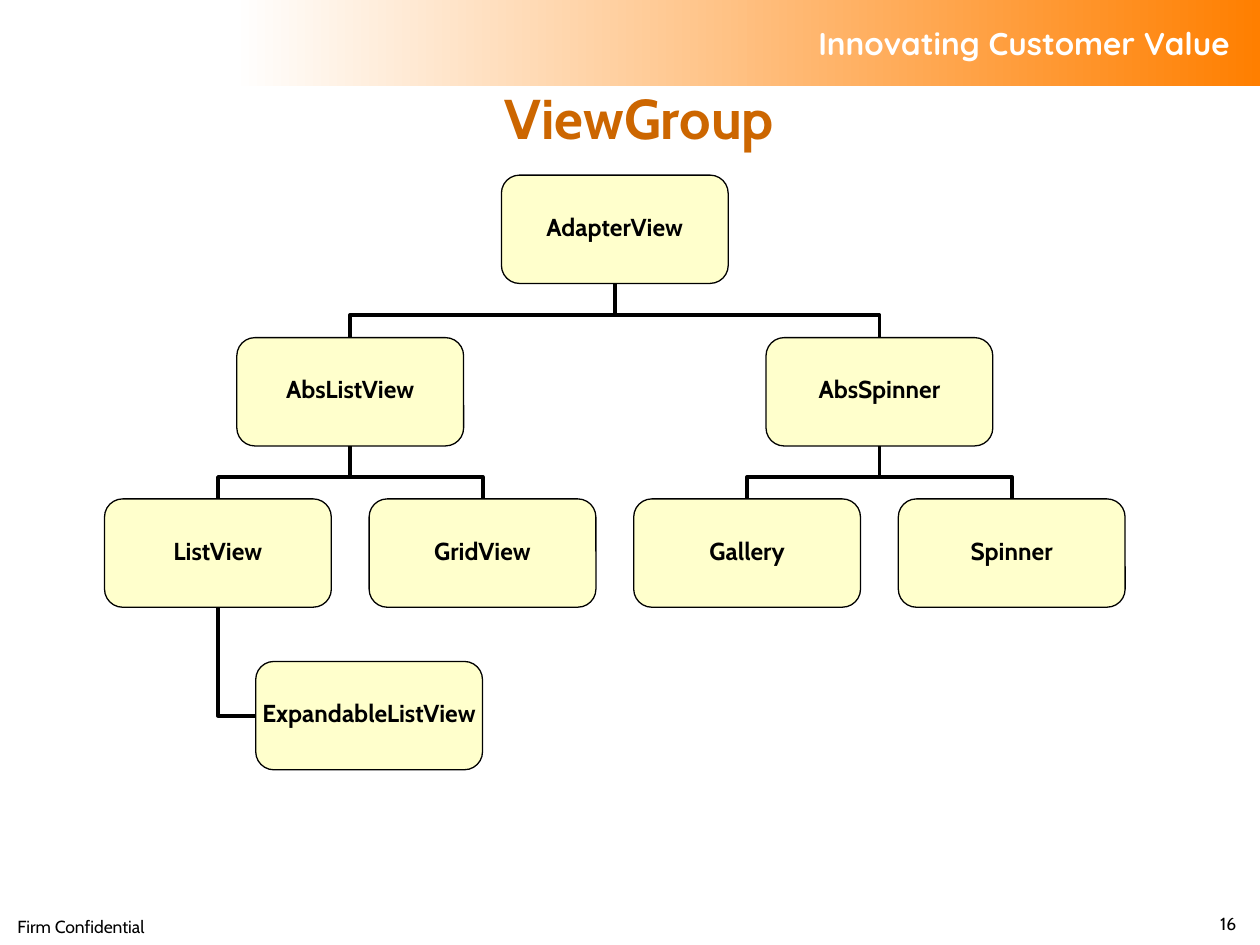
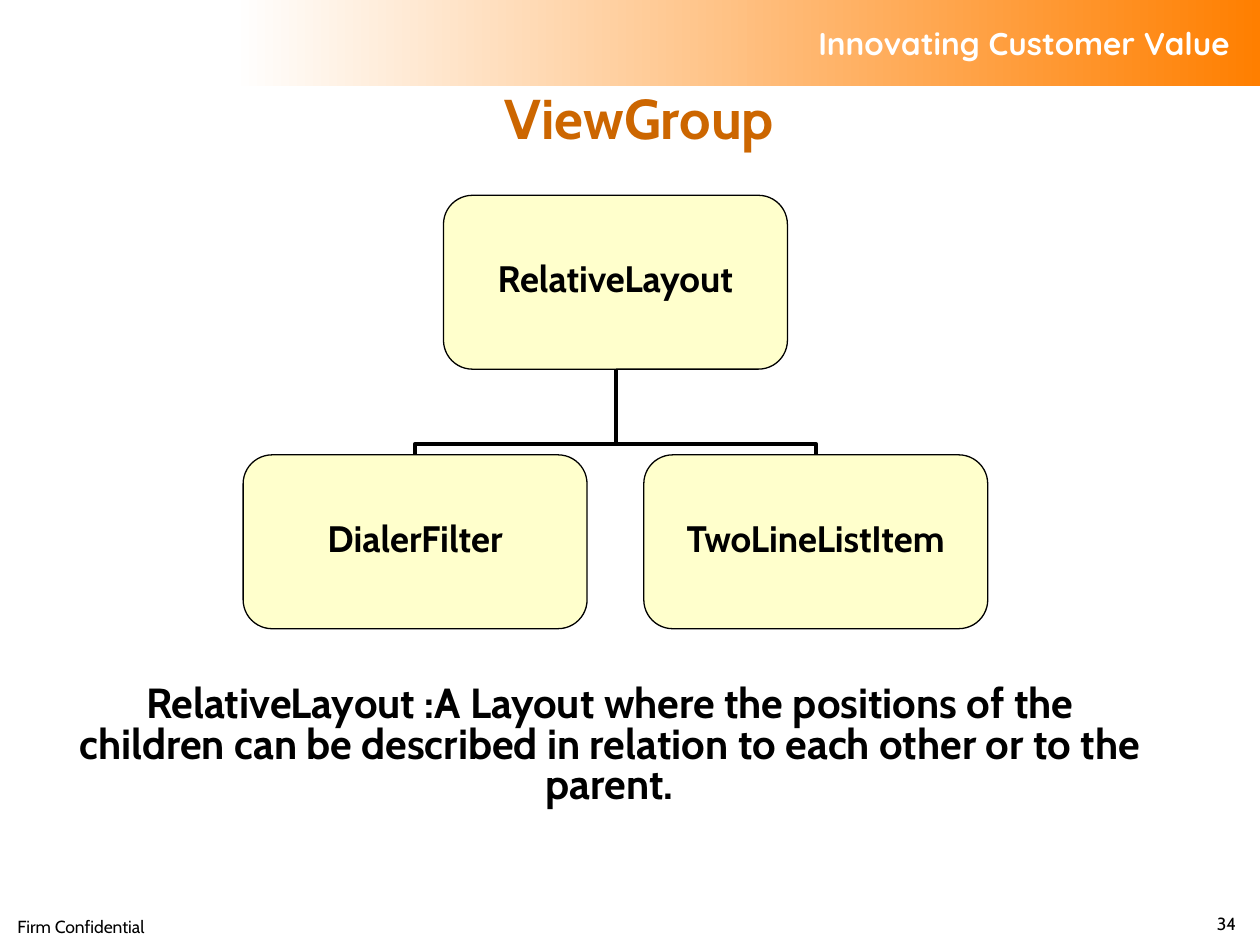
from lxml import etree
from pptx import Presentation
from pptx import util as u
from pptx.dml import color
from pptx.enum import shapes, text
from pptx.oxml import ns

PX = 9144  # EMU in one px, 100 px to the inch
BLACK, WHITE, ORANGE, TITLE_BROWN, CREAM = "000000", "FFFFFF", "FF7F00", "CC6600", "FFFFCC"
LEFT, CENTER, RIGHT = text.PP_ALIGN.LEFT, text.PP_ALIGN.CENTER, text.PP_ALIGN.RIGHT
TOP, MIDDLE, BOTTOM = text.MSO_ANCHOR.TOP, text.MSO_ANCHOR.MIDDLE, text.MSO_ANCHOR.BOTTOM

# Each node: name, left, top, parent
PAGES = [
    {
        "number": "16", "node_size": (180, 86), "font_size": 14, "bend": 0.415,
        "nodes": [
            ("AdapterView", 398, 139, None),
            ("AbsListView", 188, 268, "AdapterView"),
            ("AbsSpinner", 608, 268, "AdapterView"),
            ("ListView", 83, 396, "AbsListView"),
            ("GridView", 293, 396, "AbsListView"),
            ("Gallery", 503, 396, "AbsSpinner"),
            ("Spinner", 713, 396, "AbsSpinner"),
            ("ExpandableListView", 203, 525, "ListView"),
        ],
        "description": None,
    },
    {
        "number": "34", "node_size": (273, 138), "font_size": 21, "bend": 0.13,
        "nodes": [
            ("RelativeLayout", 352, 155, None),
            ("DialerFilter", 193, 361, "RelativeLayout"),
            ("TwoLineListItem", 511, 361, "RelativeLayout"),
        ],
        "description": "RelativeLayout :A Layout where the positions of the children "
                       "can be described in relation to each other or to the parent.",
    },
]


def rgb(value):
    return color.RGBColor.from_string(value)


def write(box, content, size, ink=BLACK, align=CENTER, anchor=MIDDLE, bold=True,
          font="Cabin", spacing=None, margins=(10, 5, 10, 5), wrap=True):
    """Fill a box with one styled paragraph; margins run left, top, right, bottom."""
    frame = box.text_frame
    frame.auto_size = text.MSO_AUTO_SIZE.NONE
    frame.word_wrap = wrap
    frame.vertical_anchor = anchor
    (frame.margin_left, frame.margin_top,
     frame.margin_right, frame.margin_bottom) = [margin * PX for margin in margins]
    para = frame.paragraphs[0]
    para.alignment = align
    para.line_spacing = spacing
    span = para.add_run()
    span.text = content
    span.font.name = font
    span.font.size = u.Pt(size)
    span.font.bold = bold
    span.font.color.rgb = rgb(ink)


deck = Presentation()
deck.slide_width, deck.slide_height = 1000 * PX, 750 * PX
layout = deck.slide_layouts[5]

for number, content in enumerate(PAGES):
    page = deck.slides.add_slide(layout)

    if number == 0:  # the band is moved to the layout, so all pages show it
        band = page.shapes.add_shape(shapes.MSO_SHAPE.RECTANGLE,
                                     185 * PX, 0, 815 * PX, 68 * PX)
        band.shadow.inherit = False
        band.line.fill.background()
        band.fill.gradient()
        band.fill.gradient_angle = 180
        for stop, shade in zip(band.fill.gradient_stops, (ORANGE, WHITE)):
            stop.color.rgb = rgb(shade)
        write(band, "Innovating Customer Value", 18, WHITE, RIGHT,
              font="Quicksand", margins=(10, 5, 24, 5))
        layout.shapes._spTree.append(band._element)

    title = page.shapes.title
    title.left, title.top, title.width, title.height = 64 * PX, 76 * PX, 887 * PX, 87 * PX
    write(title, "ViewGroup", 32, TITLE_BROWN, margins=(10, 5, 10, 58))

    width, height = content["node_size"]
    boxes = {}
    for name, left, top, parent in content["nodes"]:
        box = page.shapes.add_shape(shapes.MSO_SHAPE.ROUNDED_RECTANGLE,
                                    left * PX, top * PX, width * PX, height * PX)
        box.shadow.inherit = False
        box.fill.solid()
        box.fill.fore_color.rgb = rgb(CREAM)
        box.line.color.rgb = rgb(BLACK)
        box.line.width = u.Pt(0.75)
        write(box, name, content["font_size"], spacing=0.8, margins=(0, 0, 0, 0), wrap=False)
        boxes[name] = box
        if parent is None:
            continue

        upper = boxes[parent]
        center_x = upper.left + upper.width // 2
        bottom = upper.top + upper.height
        from_side = box.left > center_x and parent == "ListView"
        link = page.shapes.add_connector(shapes.MSO_CONNECTOR.ELBOW, 0, 0, 0, 0)
        link.begin_connect(box, 1 if from_side else 0)
        link.end_connect(upper, 2)
        link.line.color.rgb = rgb(BLACK)
        link.line.width = u.Pt(2.25)
        properties = link._element.spPr
        etree.SubElement(properties, ns.qn("a:effectLst"))
        frame, geometry = properties.xfrm, properties.prstGeom
        if from_side:
            geometry.set("prst", "bentConnector2")
            frame.rot, frame.flipH, frame.flipV = 180, False, False
            link.left, link.top = center_x, bottom
            link.width = box.left - center_x
            link.height = box.top + box.height // 2 - bottom
        else:
            # A vertical elbow is a horizontal one turned by a quarter about its centre
            shift = box.left + box.width // 2 - center_x
            drop = box.top - bottom
            frame.rot = 270 if shift > 0 else 90
            frame.flipH, frame.flipV = shift < 0, True
            link.width, link.height = drop, abs(shift)
            link.left = center_x + (shift - drop) // 2
            link.top = bottom + (drop - abs(shift)) // 2
            etree.SubElement(geometry.find(ns.qn("a:avLst")), ns.qn("a:gd"),
                             name="adj1", fmla=f"val {round(content['bend'] * 100000)}")

    if content["description"]:
        box = page.shapes.add_textbox(51 * PX, 540 * PX, 866 * PX, 106 * PX)
        write(box, content["description"], 24, anchor=TOP, spacing=0.8)

    footer = page.shapes.add_textbox(4 * PX, 722 * PX, 317 * PX, 24 * PX)
    write(footer, "Firm Confidential", 10, align=LEFT, anchor=TOP, bold=False)
    page_number = page.shapes.add_textbox(791 * PX, 722 * PX, 200 * PX, 24 * PX)
    write(page_number, content["number"], 10, align=RIGHT, anchor=BOTTOM, bold=False)

deck.save("out.pptx")
